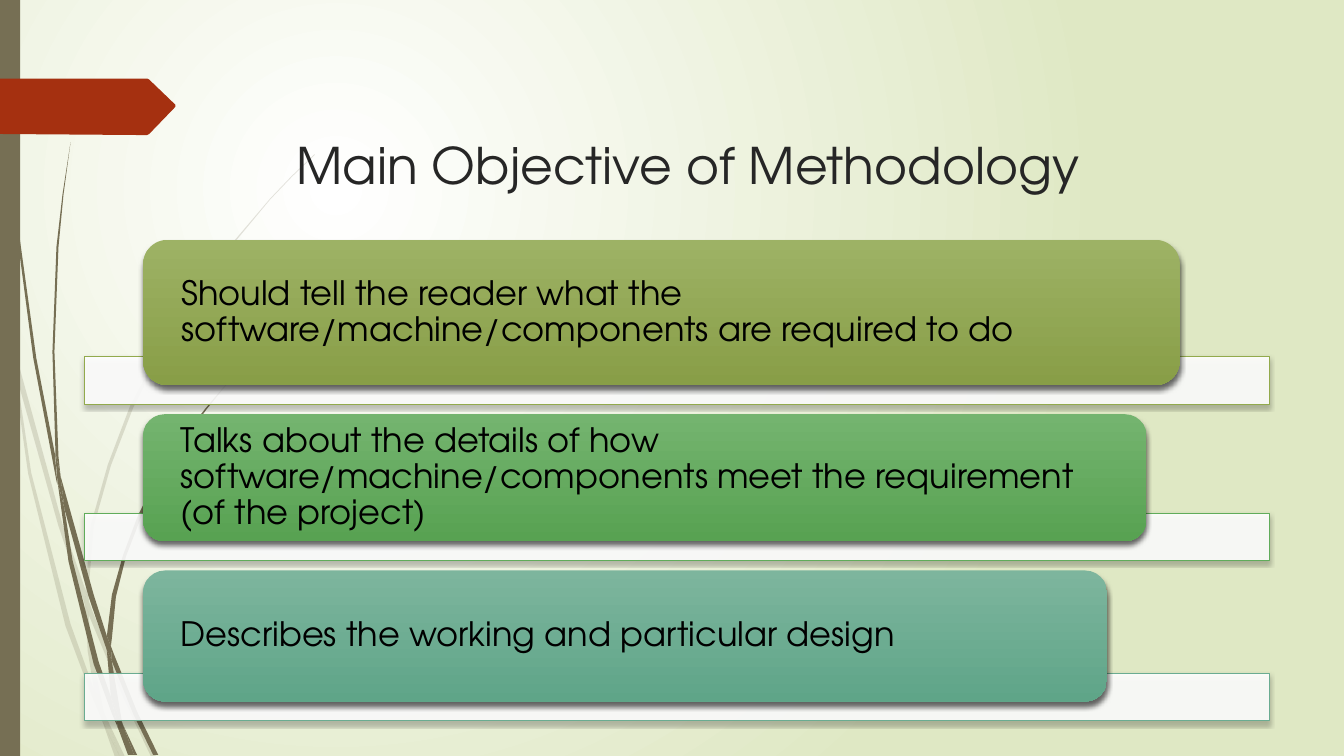
from dataclasses import dataclass

from lxml import etree
from pptx import Presentation
from pptx.dml.color import RGBColor
from pptx.enum.shapes import MSO_SHAPE
from pptx.enum.text import MSO_ANCHOR, PP_ALIGN
from pptx.oxml import parse_xml
from pptx.oxml.ns import nsdecls, qn
from pptx.util import Inches, Pt

RECTANGLE = MSO_SHAPE.RECTANGLE
ROUNDED = MSO_SHAPE.ROUNDED_RECTANGLE
TOP, MIDDLE = MSO_ANCHOR.TOP, MSO_ANCHOR.MIDDLE
LEFT = PP_ALIGN.LEFT
HUNDREDTH = Inches(0.01)


@dataclass(frozen=True)
class Theme:
    font: str = "TeX Gyre Adventor"
    title_size: int = 36
    body_size: int = 24
    title_ink: str = "262626"
    body_ink: str = "000000"
    stem: str = "766F54"
    ribbon: str = "A53010"
    glow: str = "FFFFFF"
    ground: str = "DFE8C4"
    bar: str = "FFFFFF"


THEME = Theme()
PAGE = (0, 0, 13.33, 7.5)
TITLE = (2.84, 0.68, 9.75, 1.4)
OBJECTIVES = (0.84, 2.38, 11.75, 4.77)

CARDS = [
    ("Should tell the reader what the software/machine/components are required to do",
     10.28, 1.44, "92AA4C", "9DB265", "889E47"),
    ("Talks about the details of how software/machine/components meet the requirement (of the project)",
     9.95, 1.26, "60AC5A", "74B46F", "58A252"),
    ("Describes the working and particular design",
     9.56, 1.3, "6AAC91", "7DB59D", "5FA588"),
]

PALE_STEMS = [
    "11,350 9,322 0,282 0,299 10,344",
    "58,522 84,599 85,586 62,520 14,345 17,376",
    "92,607 88,596 88,610 123,694 150,751 155,751 127,692",
    "119,751 124,751 105,711",
    "93,683 70,619 31,469 17,376 11,350 28,470 65,621 92,693 101,714 99,707",
    "84,599 87,646 93,683 96,692 105,711 103,706 91,646 88,610 88,608",
    "88,584 93,522 110,462 132,405 160,349 193,295 229,245 268,198 290,175 312,154 312,153 "
    "289,175 268,197 228,244 191,294 158,348 129,403 107,461 90,521 85,584 85,586 88,596",
    "101,714 114,751 119,751",
    "88,608 88,610 88,596 85,586 84,599",
    "96,692 93,683 99,707 101,714 119,751 105,711",
]

DARK_STEMS = [
    "7,110 17,233 33,355 56,477 57,481 55,457 55,453 36,355 19,232 8,109 5,48 4,0 3,0 4,48",
    "88,592 106,645 106,633 106,631 93,590 60,472 64,505",
    "113,649 110,641 111,656 132,708 152,749 157,749 136,706",
    "110,691 98,657 72,556 64,505 57,477 68,557 93,659 111,708 117,722 116,717",
    "60,472 58,453 54,349 58,245 63,193 70,141 70,141 62,193 56,245 52,349 55,449 60,472",
    "133,749 136,749 122,719",
    "57,477 64,505 60,472 60,472 55,449 55,453",
    "111,633 115,592 125,552 140,513 158,476 180,440 205,406 231,374 245,359 261,344 260,344 "
    "245,358 231,373 204,405 178,438 156,474 137,511 122,551 111,590 106,631 110,641",
    "117,722 127,749 131,749",
    "106,645 110,691 116,706 122,719 121,716 111,656 109,651",
    "106,645 109,651 111,656 110,641 106,631 106,633",
    "116,706 110,691 116,717 117,722 130,749 133,749 122,719",
]

RIBBON = "174,106 148,133 146,134 136,134 0,133 0,78 136,78 146,78 148,79 174,104"


def rgb(code):
    return RGBColor.from_string(code)


def apply(target, formats):
    for name, value in formats.items():
        setattr(target, name, value)


def paint(shape, color, alpha=100):
    shape.shadow.inherit = False
    shape.line.fill.background()
    shape.fill.solid()
    shape.fill.fore_color.rgb = rgb(color)
    if alpha < 100:
        tint = shape.fill._xPr.find(qn("a:solidFill"))[0]
        etree.SubElement(tint, qn("a:alpha")).set("val", str(alpha * 1000))


def blend(fill, colors):
    fill.gradient()
    for stop, position, color in zip(fill.gradient_stops, (0, 1), colors):
        stop.position = position
        stop.color.rgb = rgb(color)


def cast_shadow(shape, alpha, blur, distance):
    effects = shape._element.spPr.find(qn("a:effectLst"))
    effects.append(parse_xml(
        f'<a:outerShdw {nsdecls("a")} blurRad="{Pt(blur)}" dist="{Pt(distance)}" '
        f'dir="5400000" rotWithShape="0"><a:srgbClr val="000000">'
        f'<a:alpha val="{alpha * 1000}"/></a:srgbClr></a:outerShdw>'))


def write(shape, text, size, color, frame_formats, para_formats):
    frame = shape.text_frame
    apply(frame, {"word_wrap": True, **frame_formats})
    para = frame.paragraphs[0]
    apply(para, {"alignment": LEFT, **para_formats})
    span = para.add_run()
    span.text = text
    apply(span.font, {"name": THEME.font, "size": Pt(size)})
    span.font.color.rgb = rgb(color)


def add_block(parent, kind, box):
    return parent.shapes.add_shape(kind, *map(Inches, box))


def add_outline(parent, box, points, color, alpha=100):
    left, top = box[:2]
    corners = [(int(x) + left * 100, int(y) + top * 100)
               for x, y in (pair.split(",") for pair in points.split())]
    builder = parent.shapes.build_freeform(*corners[0], scale=HUNDREDTH)
    builder.add_line_segments(corners[1:], close=True)
    paint(builder.convert_to_shape(), color, alpha)


def draw_backdrop(page, box):
    left, top, _, height = box
    fill = page.background.fill
    blend(fill, (THEME.glow, THEME.ground))
    gradient = fill._xPr.find(qn("a:gradFill"))
    gradient.replace(gradient.find(qn("a:lin")), parse_xml(
        f'<a:path {nsdecls("a")} path="circle"><a:fillToRect l="50000" t="50000" '
        f'r="100000" b="100000"/></a:path>'))
    for stems, alpha in ((PALE_STEMS, 20), (DARK_STEMS, 100)):
        grass = page.shapes.add_group_shape()
        for points in stems:
            add_outline(grass, box, points, THEME.stem, alpha)
    paint(add_block(page, RECTANGLE, (left, top, 0.2, height)), THEME.stem)
    add_outline(page, box, RIBBON, THEME.ribbon)


def draw_title(page, box):
    title = page.shapes.add_textbox(*map(Inches, box))
    write(title, "Main Objective of Methodology", THEME.title_size, THEME.title_ink,
          {"vertical_anchor": TOP, "margin_top": Inches(0.65)}, {})


def draw_objectives(page, box):
    left, top, width, _ = box
    bar_height, overlap, gap, indent = 0.47, 0.28, 0.1, 0.58
    insets = {"margin_left": Inches(0.31), "margin_right": Inches(0.31),
              "margin_top": 0, "margin_bottom": 0, "vertical_anchor": MIDDLE}
    group = page.shapes.add_group_shape()
    for text, card_width, card_height, edge, light, deep in CARDS:
        bar_top = top + card_height - overlap
        bar = add_block(group, RECTANGLE, (left, bar_top, width, bar_height))
        paint(bar, THEME.bar, 90)
        bar.line.color.rgb = rgb(edge)
        bar.line.width = Pt(0.75)
        cast_shadow(bar, 25, 3, 2)

        card = add_block(group, ROUNDED, (left + indent, top, card_width, card_height))
        paint(card, light)
        blend(card.fill, (light, deep))
        card.fill.gradient_angle = 270
        cast_shadow(card, 60, 4, 3)
        write(card, text, THEME.body_size, THEME.body_ink, insets, {"line_spacing": 0.9})
        top = bar_top + bar_height + gap


def main():
    deck = Presentation()
    apply(deck, {"slide_width": Inches(PAGE[2]), "slide_height": Inches(PAGE[3])})
    page = deck.slides.add_slide(deck.slide_layouts[6])
    draw_backdrop(page, PAGE)
    draw_title(page, TITLE)
    draw_objectives(page, OBJECTIVES)
    deck.save("out.pptx")


if __name__ == "__main__":
    main()
